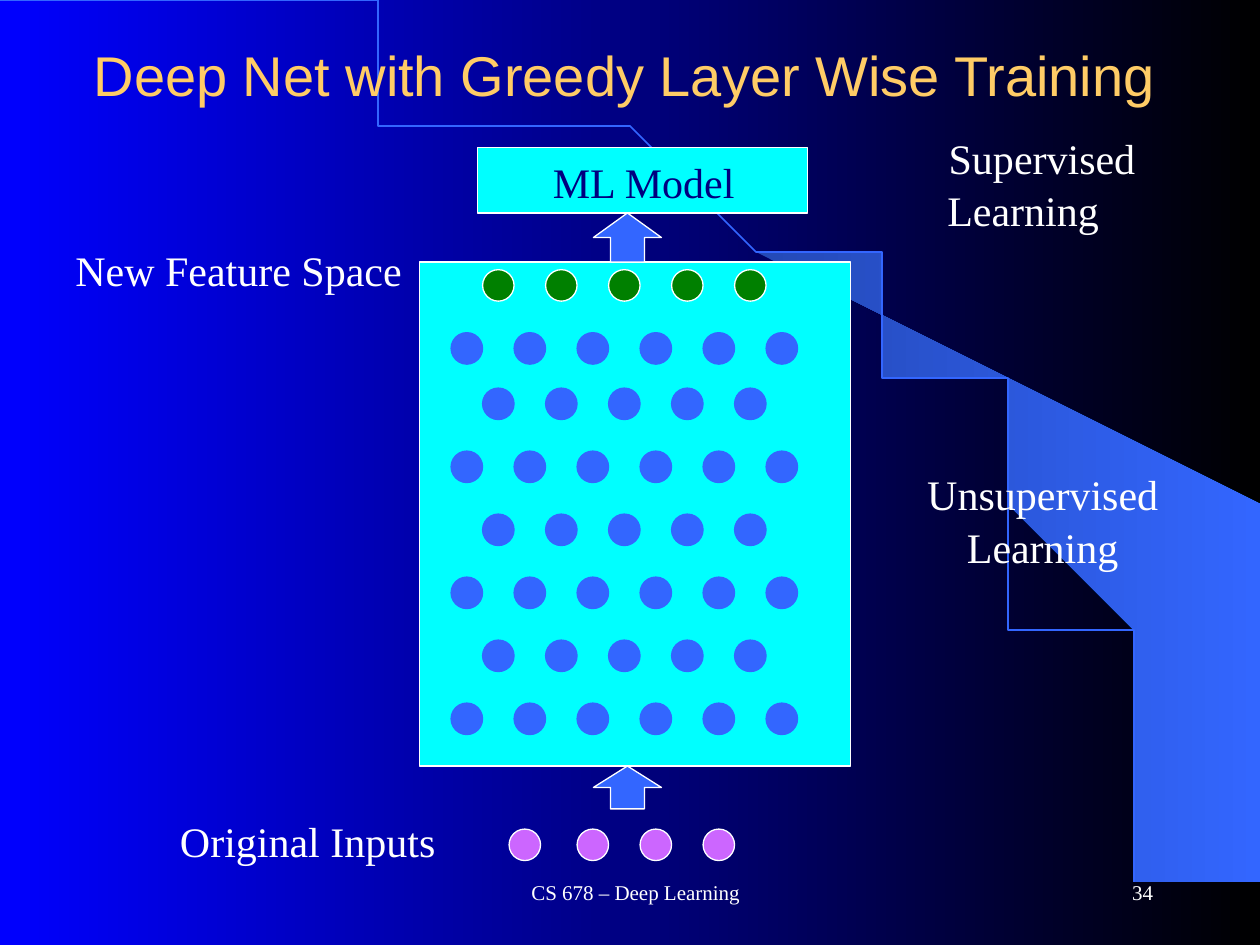
import math

import pptx
import pptx.dml.color
import pptx.enum.shapes
import pptx.enum.text
import pptx.util

Inches = pptx.util.Inches
Pt = pptx.util.Pt
RGBColor = pptx.dml.color.RGBColor
SHAPE = pptx.enum.shapes.MSO_SHAPE
ALIGN = pptx.enum.text.PP_ALIGN
ANCHOR = pptx.enum.text.MSO_ANCHOR
AUTO_SIZE = pptx.enum.text.MSO_AUTO_SIZE

BLACK = RGBColor(0x00, 0x00, 0x00)
WHITE = RGBColor(0xFF, 0xFF, 0xFF)
BLUE = RGBColor(0x00, 0x00, 0xFF)
NAVY = RGBColor(0x00, 0x00, 0x7F)
SWOOSH_BLUE = RGBColor(0x24, 0x49, 0xB6)
NODE_BLUE = RGBColor(0x33, 0x66, 0xFF)
CYAN = RGBColor(0x00, 0xFF, 0xFF)
GREEN = RGBColor(0x00, 0x80, 0x00)
VIOLET = RGBColor(0xCC, 0x66, 0xFF)
GOLD = RGBColor(0xFF, 0xCC, 0x66)

NODE_SIZE = 0.25
NODE_STEP = 0.5
SWOOSH = [(9.2, 7.48), (9.99, 7.49), (9.99, 4.23), (5.89, 1.73), (6.24, 1.99),
          (6.53, 2.22), (6.85, 2.5), (7.16, 2.8), (7.62, 3.3), (8.03, 3.84),
          (8.32, 4.31), (8.58, 4.79), (8.78, 5.28), (8.93, 5.72), (9.03, 6.09),
          (9.13, 6.56), (9.17, 6.96), (9.2, 7.48)]


def set_gradient(fill, start, end):
    """Fill from left to right between two colours."""
    fill.gradient()
    fill.gradient_angle = 0
    for stop, color, position in zip(fill.gradient_stops, (start, end), (0, 1)):
        stop.color.rgb = color
        stop.position = position


def place(shape, left, top, width, height):
    shape.left, shape.top = Inches(left), Inches(top)
    shape.width, shape.height = Inches(width), Inches(height)


def write_text(shape, text, size=24, font="Times New Roman", color=WHITE,
               aligns=(ALIGN.LEFT,), wrap=False, anchor=ANCHOR.TOP):
    """Write one paragraph per line of text, each with its alignment."""
    frame = shape.text_frame
    frame.text = text
    frame.word_wrap = wrap
    frame.auto_size = AUTO_SIZE.NONE if wrap else AUTO_SIZE.SHAPE_TO_FIT_TEXT
    frame.vertical_anchor = anchor
    for index, (para, align) in enumerate(zip(frame.paragraphs, aligns)):
        para.alignment = align
        para.space_before = Pt(1.2 if index else 0)
        para.font.size = Pt(size)
        para.font.name = font
        para.font.color.rgb = color


def add_label(slide, text, left, top, width, height=0.5, **style):
    box = slide.shapes.add_textbox(Inches(left), Inches(top),
                                   Inches(width), Inches(height))
    write_text(box, text, **style)


def add_figure(slide, kind, left, top, width, height, fill, line=WHITE):
    shape = slide.shapes.add_shape(kind, Inches(left), Inches(top),
                                   Inches(width), Inches(height))
    shape.shadow.inherit = False
    shape.fill.solid()
    shape.fill.fore_color.rgb = fill
    shape.line.color.rgb = line
    shape.line.width = Pt(0.75)


def add_nodes(slide, lefts, top, fill, line=WHITE):
    for left in lefts:
        add_figure(slide, SHAPE.OVAL, left, top, NODE_SIZE, NODE_SIZE, fill, line)


def layer_lefts(count):
    """Six-node layers start half a step left of five-node layers."""
    start = 3.58 if count == 6 else 3.83
    return [start + index * NODE_STEP for index in range(count)]


def add_outline(slide, points, close):
    builder = slide.shapes.build_freeform(*points[0], scale=Inches(1))
    builder.add_line_segments(points[1:], close=close)
    shape = builder.convert_to_shape()
    shape.shadow.inherit = False
    return shape


def add_backdrop(slide):
    set_gradient(slide.background.fill, BLUE, BLACK)
    swoosh = add_outline(slide, SWOOSH, close=True)
    set_gradient(swoosh.fill, SWOOSH_BLUE, NODE_BLUE)
    swoosh.line.fill.background()

    # Quarter ellipse from the top left corner to the bottom edge
    angles = [math.radians(degree) for degree in range(91)]
    curve = [(9.2 * math.sin(angle), 7.49 * (1 - math.cos(angle)))
             for angle in angles]
    arc = add_outline(slide, curve, close=False)
    arc.fill.background()
    arc.line.color.rgb = NODE_BLUE
    arc.line.width = Pt(1)


def add_title(slide):
    title = slide.shapes.title
    place(title, 0.5, 0, 8.92, 1.17)
    write_text(title, "Deep Net with Greedy Layer Wise Training", size=32,
               font="Arial", color=GOLD, aligns=[ALIGN.CENTER], wrap=True,
               anchor=ANCHOR.MIDDLE)
    # Bring the title in front of the backdrop
    slide.shapes._spTree.append(title._element)


def add_network(slide):
    add_figure(slide, SHAPE.RECTANGLE, 3.33, 2.08, 3.42, 4, CYAN)
    add_nodes(slide, [4.04, 4.58, 5.08, 5.58], 6.58, VIOLET)

    # Hidden layers alternate between six and five nodes
    for index, top in enumerate([2.64, 3.08, 3.58, 4.08, 4.58, 5.08, 5.58]):
        count = 5 if index % 2 else 6
        add_nodes(slide, layer_lefts(count), top, NODE_BLUE, NODE_BLUE)
    add_nodes(slide, layer_lefts(5), 2.14, GREEN)

    for top, height in [(1.69, 0.39), (6.08, 0.34)]:
        add_figure(slide, SHAPE.UP_ARROW, 4.71, top, 0.54, height, NODE_BLUE)
    add_figure(slide, SHAPE.RECTANGLE, 3.79, 1.17, 2.62, 0.52, CYAN)


def add_labels(slide):
    add_label(slide, "ML Model", 4.29, 1.19, 1.66, color=NAVY)
    add_label(slide, "New Feature Space", 0.5, 1.89, 2.83)
    add_label(slide, "Original Inputs", 1.33, 6.42, 2.25)
    add_label(slide, "Supervised\nLearning", 7.42, 1, 1.7, 0.91,
              aligns=[ALIGN.CENTER, ALIGN.LEFT])
    add_label(slide, "Unsupervised\nLearning", 7.25, 3.67, 2.05, 0.91,
              aligns=[ALIGN.CENTER, ALIGN.CENTER])

    # Footer and page number
    footer = {"size": 12, "wrap": True, "anchor": ANCHOR.MIDDLE}
    add_label(slide, "CS 678 – Deep Learning", 3.17, 6.83, 3.75,
              aligns=[ALIGN.CENTER], **footer)
    add_label(slide, "34", 7.17, 6.83, 2.08, aligns=[ALIGN.RIGHT], **footer)


def main():
    deck = pptx.Presentation()
    deck.slide_width, deck.slide_height = Inches(10), Inches(7.5)
    slide = deck.slides.add_slide(deck.slide_layouts.get_by_name("Title Only"))
    add_backdrop(slide)
    add_title(slide)
    add_network(slide)
    add_labels(slide)
    deck.save("out.pptx")


if __name__ == "__main__":
    main()
